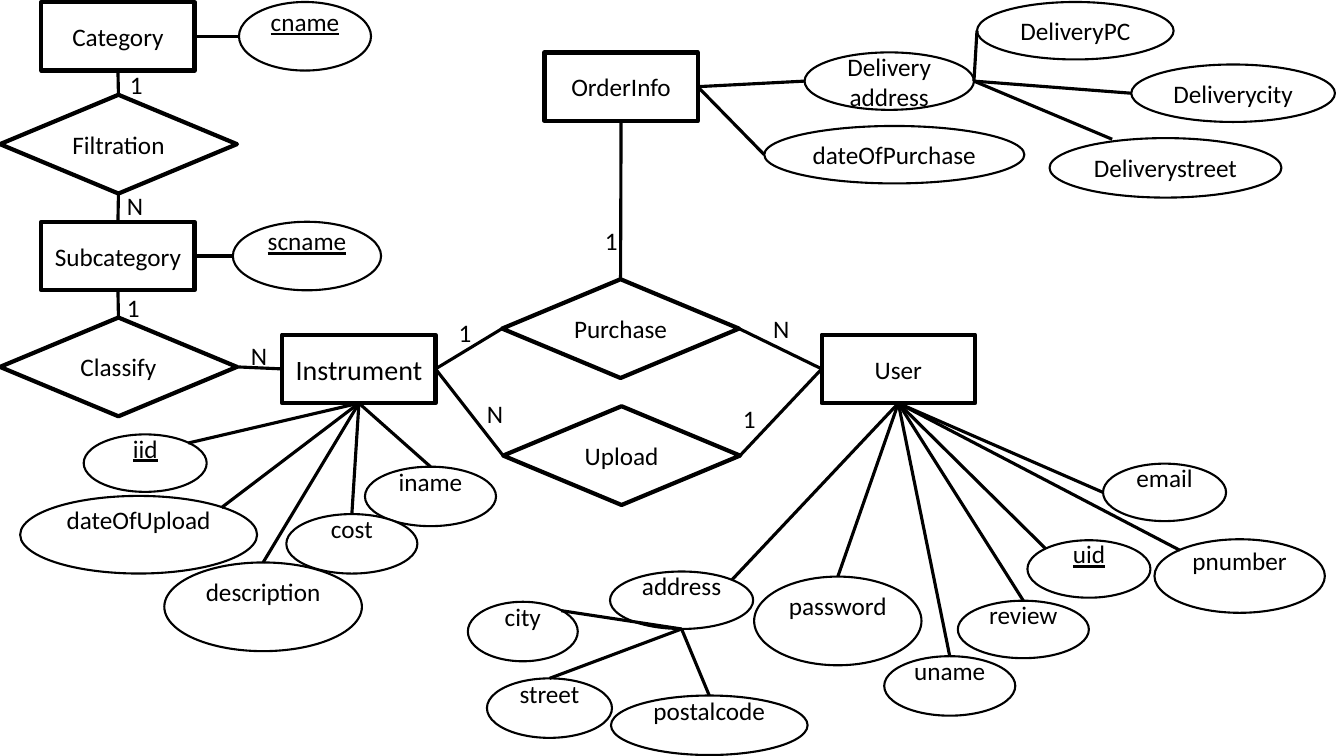
"""Draws the entity-relationship diagram of an instrument shop on one slide."""
from dataclasses import dataclass

from lxml.etree import SubElement
from pptx import Presentation
from pptx.dml.color import RGBColor
from pptx.enum.shapes import MSO_CONNECTOR as Connector, MSO_SHAPE as Shape
from pptx.enum.text import MSO_ANCHOR as Anchor, PP_ALIGN as Align
from pptx.oxml.ns import qn
from pptx.util import Inches, Pt


@dataclass(frozen=True)
class Theme:
    ink: RGBColor = RGBColor(0, 0, 0)
    paper: RGBColor = RGBColor(255, 255, 255)
    font: str = "Calibri"
    body: int = 18
    large: int = 20
    heavy: float = 3
    link: float = 2.25
    thin: float = 1.5


theme = Theme()
CELL = Inches(0.1)
TOP, LEFT, BOTTOM, RIGHT = (0.5, 0), (0, 0.5), (0.5, 1), (1, 0.5)
UPPER_LEFT, UPPER_RIGHT = (0.15, 0.15), (0.85, 0.15)
SIDES = [TOP, LEFT, BOTTOM, RIGHT]

ENTITY_SIZE, RELATION_SIZE, LABEL_SIZE = (15.2, 6.8), (23.5, 9.8), (3.6, 4)
entities = [
    ("Category", 4.1, 0.2),
    ("Subcategory", 4.1, 22),
    ("Instrument", 28, 33.2),
    ("User", 81.5, 33.2),
    ("OrderInfo", 54, 5.2),
]
relations = [
    ("Filtration", 0, 9.4),
    ("Classify", 0, 31.5),
    ("Purchase", 49.8, 27.7),
    ("Upload", 49.9, 40.3),
]
relation_links = [
    ("Category", BOTTOM, "Filtration", TOP, "1", 11.9, 6.4),
    ("Subcategory", TOP, "Filtration", BOTTOM, "N", 11.6, 18.4),
    ("Subcategory", BOTTOM, "Classify", TOP, "1", 11.6, 28.5),
    ("Instrument", LEFT, "Classify", RIGHT, "N", 23.9, 33.3),
    ("Instrument", RIGHT, "Purchase", LEFT, "1", 44.5, 31),
    ("Instrument", RIGHT, "Upload", LEFT, "N", 47.3, 39),
    ("User", LEFT, "Purchase", RIGHT, "N", 75.7, 30.6),
    ("User", LEFT, "Upload", RIGHT, "1", 72.7, 39.5),
    ("OrderInfo", BOTTOM, "Purchase", TOP, "1", 59, 21.9),
]
keys = {"cname", "scname", "iid", "uid"}
raised_owners = {"Category", "Subcategory", "Instrument", "User", "address"}
attributes = [
    ("Category", RIGHT, [("cname", 23.7, 0.2, 13.1, 6.8, LEFT)]),
    ("Subcategory", RIGHT, [("scname", 23.1, 22, 14.7, 6.8, LEFT)]),
    ("Instrument", BOTTOM, [
        ("iid", 8.3, 43.1, 12.2, 5.7, UPPER_RIGHT),
        ("iname", 36.2, 46.3, 13, 5.9, TOP),
        ("cost", 28.4, 51, 13, 5.9, TOP),
        ("description", 16.3, 55.8, 19.6, 8.8, TOP),
        ("dateOfUpload", 2, 49.2, 23.5, 7.7, UPPER_RIGHT),
    ]),
    ("User", BOTTOM, [
        ("uid", 101.9, 53.6, 12.2, 5.7, UPPER_LEFT),
        ("pnumber", 114.5, 53.5, 16.9, 7.3, UPPER_LEFT),
        ("password", 74.8, 57.2, 16.6, 8.8, TOP),
        ("review", 95, 59.6, 13, 5.7, TOP),
        ("address", 60.5, 56.7, 14.2, 5.7, UPPER_RIGHT),
        ("uname", 87.7, 65.1, 13, 5.9, TOP),
        ("email", 109.4, 46, 12.2, 5.7, LEFT),
    ]),
    ("address", BOTTOM, [
        ("city", 46.4, 59.7, 10.9, 5.9, UPPER_RIGHT),
        ("street", 48.3, 67.3, 12.4, 5.9, TOP),
        ("postalcode", 60.6, 69, 19.5, 5.9, TOP),
    ]),
    ("OrderInfo", RIGHT, [
        ("Delivery address", 79.8, 5.2, 16.8, 5.7, LEFT),
        ("dateOfPurchase", 75.8, 12.5, 25.8, 5.7, LEFT),
    ]),
    ("Delivery address", RIGHT, [
        ("DeliveryPC", 96.9, 0.2, 19.5, 5.7, LEFT),
        ("Deliverycity", 112.2, 6.4, 20.2, 5.7, LEFT),
        ("Deliverystreet", 104.1, 13.7, 23, 5.9, (0.27, 0.02)),
    ]),
]

deck = Presentation()
deck.slide_width, deck.slide_height = Inches(13.33), Inches(7.5)
page = deck.slides.add_slide(deck.slide_layouts[6])
boxes = {}


def add_box(kind, name, left, top, width, height, line_width):
    """Adds an outlined shape with centred text and files it under its name."""
    area = [round(cells * CELL) for cells in (left, top, width, height)]
    box = page.shapes.add_shape(kind, *area)
    box.shadow.inherit = False
    box.fill.solid()
    box.fill.fore_color.rgb = theme.paper
    box.line.color.rgb = theme.ink
    box.line.width = Pt(line_width)
    frame = box.text_frame
    frame.word_wrap = True
    frame.vertical_anchor = Anchor.MIDDLE
    frame.margin_left = frame.margin_right = 0
    para = frame.paragraphs[0]
    para.alignment = Align.CENTER
    span = para.add_run()
    span.text = name
    span.font.name = theme.font
    span.font.size = Pt(theme.large if name == "Instrument" else theme.body)
    span.font.color.rgb = theme.ink
    span.font.underline = True if name in keys else None
    boxes[name] = box
    return box


def add_link(start, start_at, end, end_at):
    """Draws a line between two boxes, joined wherever it meets a side's middle."""
    first, last = boxes[start], boxes[end]
    points = [
        round(value)
        for box, (across, down) in ((first, start_at), (last, end_at))
        for value in (box.left + across * box.width, box.top + down * box.height)
    ]
    link = page.shapes.add_connector(Connector.STRAIGHT, *points)
    link.line.color.rgb = theme.ink
    link.line.width = Pt(theme.link)
    SubElement(link._element.spPr, qn("a:effectLst"))
    if first.auto_shape_type != Shape.OVAL:
        link.begin_connect(first, SIDES.index(start_at))
    if last.auto_shape_type != Shape.OVAL:
        link.end_connect(last, SIDES.index(end_at))


for name, left, top in entities:
    add_box(Shape.RECTANGLE, name, left, top, *ENTITY_SIZE, theme.heavy)
for name, left, top in relations:
    add_box(Shape.FLOWCHART_DECISION, name, left, top, *RELATION_SIZE, theme.heavy)

for owner, side, members in attributes:
    for name, left, top, width, height, joint in members:
        oval = add_box(Shape.OVAL, name, left, top, width, height, theme.thin)
        if owner in raised_owners:
            oval.text_frame.margin_top = 0
            oval.text_frame.margin_bottom = 3 * CELL

for owner, side, members in attributes:
    for name, left, top, width, height, joint in members:
        add_link(owner, side, name, joint)

for entity, side, relation, corner, count, left, top in relation_links:
    add_link(entity, side, relation, corner)
    area = [round(cells * CELL) for cells in (left, top, *LABEL_SIZE)]
    label = page.shapes.add_textbox(*area)
    label.text_frame.word_wrap = True
    span = label.text_frame.paragraphs[0].add_run()
    span.text = count
    span.font.name = theme.font
    span.font.size = Pt(theme.body)
    span.font.color.rgb = theme.ink

deck.save("out.pptx")
